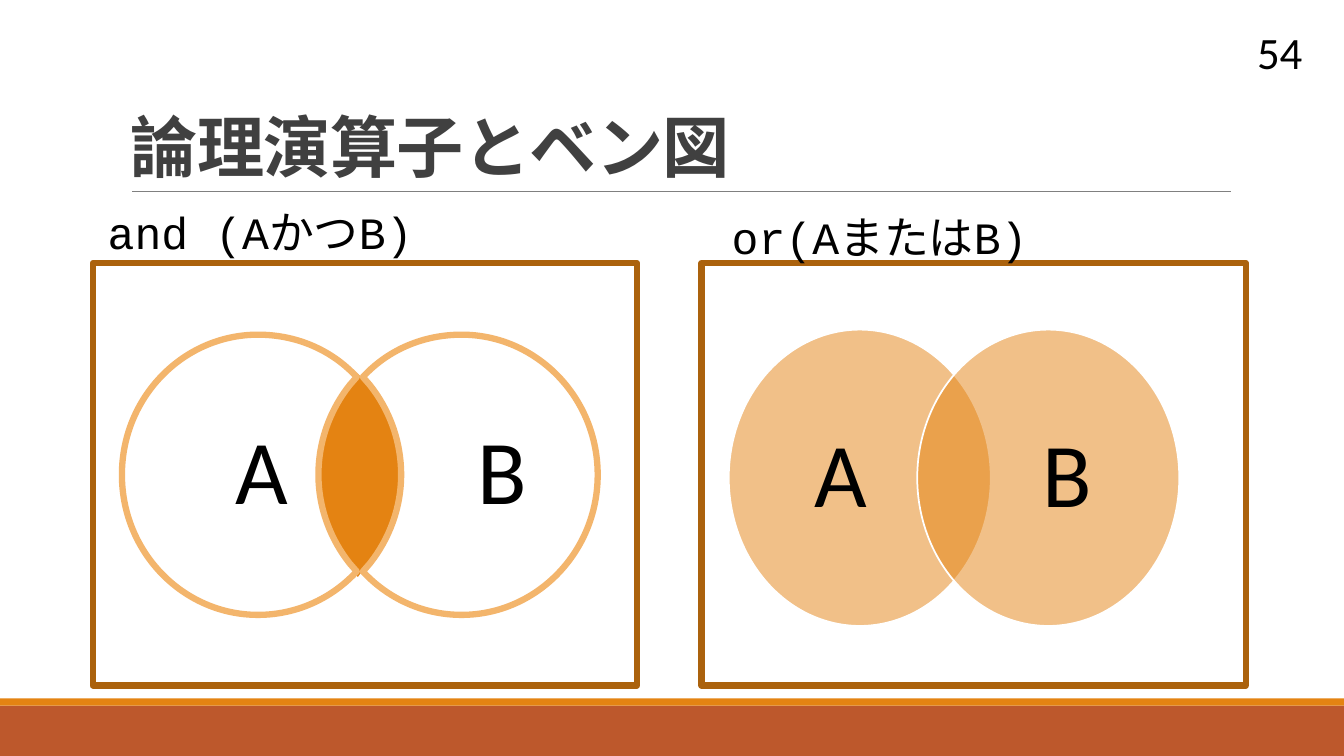
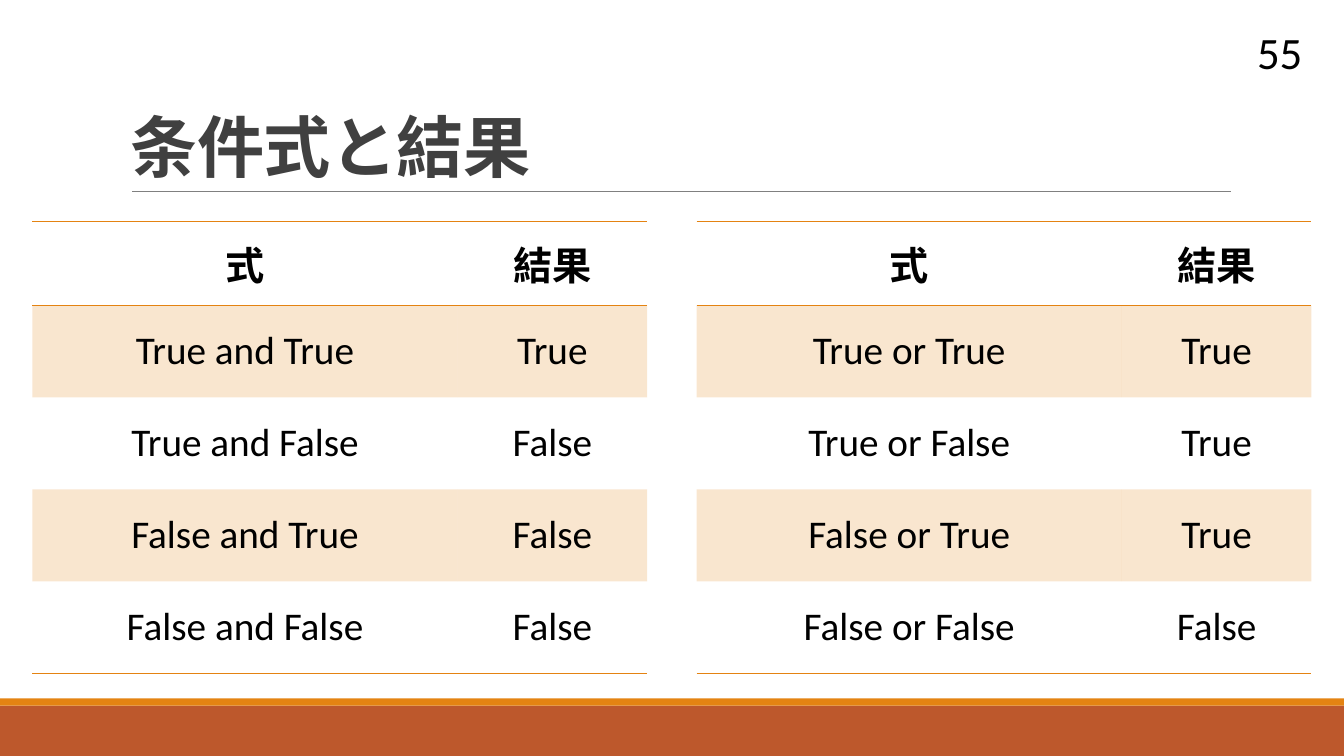
from dataclasses import dataclass

from lxml.etree import SubElement
from pptx import Presentation
from pptx.dml.color import RGBColor
from pptx.dml.fill import FillFormat
from pptx.enum.shapes import MSO_CONNECTOR, MSO_SHAPE
from pptx.enum.text import MSO_ANCHOR, PP_ALIGN
from pptx.oxml.ns import qn
from pptx.shapes.autoshape import Shape
from pptx.slide import Slide
from pptx.table import _Cell
from pptx.text.text import TextFrame, _Paragraph
from pptx.util import Inches, Pt

Point = tuple[float, float]
Segment = tuple[Point, ...]


@dataclass(frozen=True)
class Theme:
    orange: str = "E48312"
    rust: str = "BD582C"
    brown: str = "AB620D"
    peach: str = "F3B56C"
    white: str = "FFFFFF"
    gray: str = "808080"
    title: str = "404040"
    text: str = "000000"
    body_font: str = "Calibri"
    code_font: str = "Courier New"
    title_size: float = 48
    label_size: float = 32
    table_size: float = 28
    set_size: float = 65
    thin: float = 1.25
    thick: float = 4.5


@dataclass(frozen=True)
class Box:
    left: float
    top: float
    width: float
    height: float

    def lengths(self) -> tuple[int, int, int, int]:
        return Inches(self.left), Inches(self.top), Inches(self.width), Inches(self.height)


@dataclass(frozen=True)
class Outline:
    start: Point
    segments: tuple[Segment, ...]

    def mirrored(self, axis: float) -> "Outline":
        def flip(point: Point) -> Point:
            return 2 * axis - point[0], point[1]

        return Outline(flip(self.start),
                       tuple(tuple(flip(point) for point in segment) for segment in self.segments))


@dataclass(frozen=True)
class TruthTable:
    left: float
    operator: str
    results: tuple[str, ...]


THEME = Theme()
SLIDE_WIDTH, SLIDE_HEIGHT = 40 / 3, 7.5
HEADER_HEIGHT, TABLE_HEIGHT = 0.83, 4.48
PANELS = (Box(0.92, 2.61, 5.4, 4.19), Box(6.96, 2.61, 5.4, 4.19))
LENS = Outline((3.55, 3.69), (
    ((3.62, 3.77),),
    ((3.84, 4.03), (3.97, 4.35), (3.97, 4.71)),
    ((3.97, 5.07), (3.84, 5.4), (3.62, 5.65)),
    ((3.55, 5.74),),
    ((3.47, 5.65),),
    ((3.26, 5.4), (3.13, 5.07), (3.13, 4.71)),
    ((3.13, 4.35), (3.26, 4.03), (3.47, 3.77)),
))
CRESCENT = Outline((2.56, 3.32), (
    ((2.94, 3.32), (3.28, 3.47), (3.52, 3.72)),
    ((3.54, 3.74),),
    ((3.47, 3.82),),
    ((3.28, 4.06), (3.16, 4.37), (3.16, 4.71)),
    ((3.16, 5.04), (3.28, 5.35), (3.47, 5.59)),
    ((3.54, 5.67),),
    ((3.52, 5.69),),
    ((3.28, 5.94), (2.94, 6.1), (2.56, 6.1)),
    ((1.82, 6.1), (1.21, 5.48), (1.21, 4.71)),
    ((1.21, 3.94), (1.82, 3.32), (2.56, 3.32)),
))
OPERANDS = (("True", "True"), ("True", "False"), ("False", "True"), ("False", "False"))
TRUTH_TABLES = (
    TruthTable(0.32, "and", ("True", "False", "False", "False")),
    TruthTable(6.91, "or", ("True", "True", "True", "False")),
)


def set_fill(fill: FillFormat, color: str | None, opacity: int = 100) -> None:
    if color is None:
        fill.background()
        return
    fill.solid()
    fill.fore_color.rgb = RGBColor.from_string(color)
    if opacity < 100:
        color_element = fill._xPr.find(qn("a:solidFill"))[0]
        SubElement(color_element, qn("a:alpha")).set("val", str(opacity * 1000))


def style_shape(shape: Shape, fill: str | None, line: str | None = None,
                width: float = 0, opacity: int = 100) -> None:
    shape.shadow.inherit = False
    set_fill(shape.fill, fill, opacity)
    set_fill(shape.line.fill, line)
    if line:
        shape.line.width = Pt(width)


def add_figure(slide: Slide, kind: MSO_SHAPE, box: Box, fill: str | None,
               line: str | None = None, width: float = 0, opacity: int = 100) -> None:
    shape = slide.shapes.add_shape(kind, *box.lengths())
    style_shape(shape, fill, line, width, opacity)


def add_outline(slide: Slide, outline: Outline, fill: str, line: str, width: float) -> Shape:
    builder = slide.shapes.build_freeform(*map(Inches, outline.start))
    points = [tuple(map(Inches, point)) for segment in outline.segments for point in segment]
    builder.add_line_segments(points, close=True)
    shape = builder.convert_to_shape()
    steps = iter(list(shape._element.iter(qn("a:lnTo"))))
    for segment in outline.segments:
        first, *others = [next(steps) for _ in segment]
        if others:
            first.tag = qn("a:cubicBezTo")
            for step in others:
                first.append(step[0])
                step.getparent().remove(step)
    style_shape(shape, fill, line, width)
    return shape


def write(frame: TextFrame, text: str, size: float, font: str = THEME.body_font,
          color: str = THEME.text, bold: bool = False,
          align: PP_ALIGN = PP_ALIGN.LEFT) -> _Paragraph:
    paragraph = frame.paragraphs[0]
    paragraph.text = text
    paragraph.alignment = align
    paragraph.font.size = Pt(size)
    paragraph.font.name = font
    paragraph.font.bold = bold
    paragraph.font.color.rgb = RGBColor.from_string(color)
    return paragraph


def add_text_frame(slide: Slide, box: Box, anchor: MSO_ANCHOR = MSO_ANCHOR.TOP) -> TextFrame:
    frame = slide.shapes.add_textbox(*box.lengths()).text_frame
    frame.word_wrap = True
    frame.vertical_anchor = anchor
    return frame


def write_set_name(frame: TextFrame, name: str, left: float, right: float, vertical: float) -> None:
    frame.word_wrap = True
    frame.vertical_anchor = MSO_ANCHOR.MIDDLE
    frame.margin_left, frame.margin_right = Inches(left), Inches(right)
    frame.margin_top = frame.margin_bottom = Inches(vertical)
    write(frame, name, THEME.set_size, align=PP_ALIGN.CENTER).line_spacing = 0.9


def add_base_slide(presentation: Presentation, title: str, number: int) -> Slide:
    slide = presentation.slides.add_slide(presentation.slide_layouts[6])
    add_figure(slide, MSO_SHAPE.RECTANGLE, Box(0, 7, SLIDE_WIDTH, 0.5), THEME.rust)
    add_figure(slide, MSO_SHAPE.RECTANGLE, Box(0, 6.93, SLIDE_WIDTH, 0.07), THEME.orange)
    rule = slide.shapes.add_connector(
        MSO_CONNECTOR.STRAIGHT, Inches(1.31), Inches(1.9), Inches(12.21), Inches(1.9))
    rule.line.color.rgb = RGBColor.from_string(THEME.gray)
    rule.line.width = Pt(0.5)
    SubElement(rule._element.spPr, qn("a:effectLst"))

    title_frame = add_text_frame(slide, Box(1.2, 0.31, 11, 1.59), MSO_ANCHOR.BOTTOM)
    paragraph = write(title_frame, title, THEME.title_size, THEME.code_font, THEME.title, bold=True)
    paragraph.line_spacing = 0.85
    paragraph._p.pPr.find(qn("a:defRPr")).set("spc", "-50")
    number_frame = add_text_frame(slide, Box(11.59, 0.31, 1.43, 0.4), MSO_ANCHOR.MIDDLE)
    write(number_frame, str(number), THEME.label_size, align=PP_ALIGN.RIGHT)
    return slide


def add_and_diagram(slide: Slide) -> None:
    add_outline(slide, LENS, THEME.orange, THEME.white, THEME.thin)
    for name, outline in (("A", CRESCENT), ("B", CRESCENT.mirrored(3.57))):
        shape = add_outline(slide, outline, THEME.white, THEME.peach, THEME.thick)
        write_set_name(shape.text_frame, name, 0.86, 0.42, 0.36)


def add_or_diagram(slide: Slide) -> None:
    for name, circle_left, name_left in (("A", 7.23, 7.59), ("B", 9.1, 9.84)):
        add_figure(slide, MSO_SHAPE.OVAL, Box(circle_left, 3.27, 2.6, 2.94),
                   THEME.orange, THEME.white, THEME.thin, opacity=50)
        frame = add_text_frame(slide, Box(name_left, 3.62, 1.5, 2.25))
        write_set_name(frame, name, 0, 0, 0)


def add_border(cell: _Cell, side: str) -> None:
    properties = cell._tc.get_or_add_tcPr()
    line = properties.makeelement(qn(f"a:{side}"), {"w": str(Pt(1))})
    properties.insert(len(properties.findall(qn("a:lnT"))), line)
    fill = SubElement(line, qn("a:solidFill"))
    SubElement(fill, qn("a:srgbClr")).set("val", THEME.orange)


def add_truth_table(slide: Slide, truth: TruthTable) -> None:
    rows = [("式", "結果")] + [
        (f"{first} {truth.operator} {second}", result)
        for (first, second), result in zip(OPERANDS, truth.results)
    ]
    box = Box(truth.left, 2.2, 6.1, TABLE_HEIGHT)
    table = slide.shapes.add_table(len(rows), 2, *box.lengths()).table
    table.horz_banding = False
    table._tbl.tblPr.find(qn("a:tableStyleId")).text = "{2D5ABB26-0587-4C30-8999-92F81FD0307C}"
    body_height = (TABLE_HEIGHT - HEADER_HEIGHT) / len(OPERANDS)
    for column, width in zip(table.columns, (4.22, 1.88)):
        column.width = Inches(width)
    for row_index, values in enumerate(rows):
        header = row_index == 0
        table.rows[row_index].height = Inches(HEADER_HEIGHT if header else body_height)
        for column_index, value in enumerate(values):
            cell = table.cell(row_index, column_index)
            cell.vertical_anchor = MSO_ANCHOR.MIDDLE
            set_fill(cell.fill, THEME.orange if row_index % 2 else None, opacity=20)
            write(cell.text_frame, value, THEME.table_size, bold=header, align=PP_ALIGN.CENTER)
            if header:
                add_border(cell, "lnT")
            if header or row_index == len(rows) - 1:
                add_border(cell, "lnB")


def add_venn_slide(presentation: Presentation) -> None:
    slide = add_base_slide(presentation, "論理演算子とベン図", 54)
    add_and_diagram(slide)
    add_or_diagram(slide)
    for panel in PANELS:
        add_figure(slide, MSO_SHAPE.RECTANGLE, panel, None, THEME.brown, THEME.thick)
    labels = (("and (AかつB)", Box(0.97, 1.98, 3.54, 0.64)),
              ("or(AまたはB)", Box(7.16, 2.03, 3.35, 0.64)))
    for text, box in labels:
        write(add_text_frame(slide, box), text, THEME.label_size, THEME.code_font)


def add_truth_slide(presentation: Presentation) -> None:
    slide = add_base_slide(presentation, "条件式と結果", 55)
    for truth in TRUTH_TABLES:
        add_truth_table(slide, truth)


def main() -> None:
    presentation = Presentation()
    presentation.slide_width = Inches(SLIDE_WIDTH)
    presentation.slide_height = Inches(SLIDE_HEIGHT)
    add_venn_slide(presentation)
    add_truth_slide(presentation)
    presentation.save("out.pptx")


if __name__ == "__main__":
    main()
